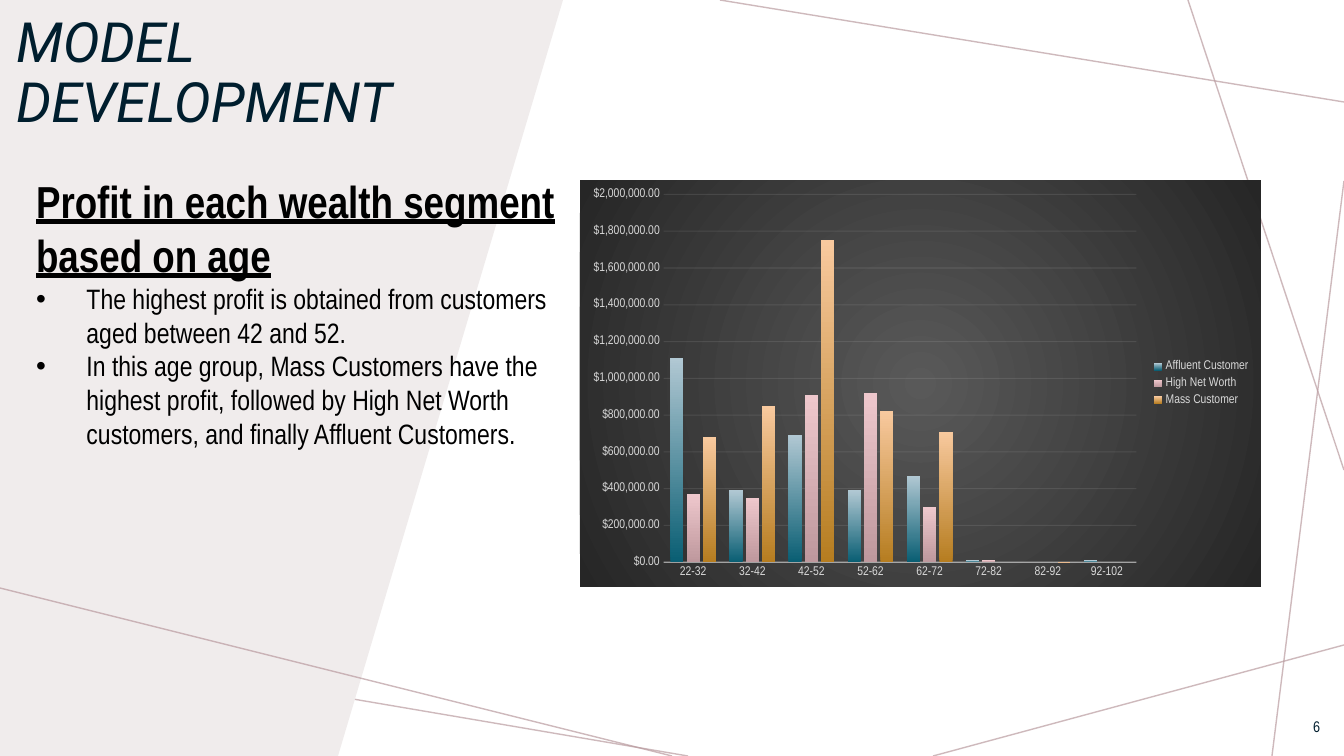
"""Builds a model development slide showing profit by wealth segment and age."""
import lxml.etree
import pptx
import pptx.chart.data
import pptx.dml.color
import pptx.enum.chart
import pptx.enum.shapes
import pptx.enum.text
import pptx.oxml
import pptx.oxml.ns
import pptx.util

RGB = pptx.dml.color.RGBColor
ROSE = RGB(0xBA, 0x9C, 0xA0)
PANEL = RGB(0xF0, 0xEC, 0xEC)
NAVY = RGB(0x00, 0x1E, 0x2E)
BLACK = RGB(0x00, 0x00, 0x00)
LABEL_GREY = RGB(0xD9, 0xD9, 0xD9)
RULE_GREY = RGB(0xF2, 0xF2, 0xF2)
CHART_CENTRE = RGB(0x59, 0x59, 0x59)
CHART_EDGE = RGB(0x26, 0x26, 0x26)

NARROW = "Arial Narrow"
WIDTH, HEIGHT = 1344, 756
SCALE = 12192000 / WIDTH

LINES_BEHIND = [
    (344, 0, 0, 76), (100, 0, 0, 722), (688, 756, 0, 639), (1344, 645, 933, 756),
    (1344, 181, 1272, 756), (1344, 470, 1188, 0), (1344, 102, 720, 0),
]
LINE_IN_FRONT = (672, 756, 0, 588)
PANEL_CORNERS = [(338, 756), (0, 756), (0, 0), (563, 0)]

HEADING = "Profit in each wealth segment based on age"
FINDINGS = [
    "The highest profit is obtained from customers aged between 42 and 52.",
    "In this age group, Mass Customers have the highest profit, followed by "
    "High Net Worth customers, and finally Affluent Customers.",
]

AGE_GROUPS = ["22-32", "32-42", "42-52", "52-62", "62-72", "72-82", "82-92", "92-102"]
SEGMENTS = [
    ("Affluent Customer", RGB(0x09, 0x5E, 0x73), RGB(0xB1, 0xC8, 0xD3),
     [1110000, 390000, 690000, 390000, 470000, 10000, None, 10000]),
    ("High Net Worth", RGB(0xBE, 0x98, 0x9D), RGB(0xEE, 0xC7, 0xCC),
     [370000, 350000, 910000, 920000, 300000, 10000, None, None]),
    ("Mass Customer", RGB(0xB6, 0x7D, 0x20), RGB(0xF8, 0xC9, 0x9E),
     [680000, 850000, 1750000, 820000, 710000, None, 0, None]),
]


def px(*lengths):
    return [pptx.util.Emu(round(length * SCALE)) for length in lengths]


def place(shape, *box):
    shape.left, shape.top, shape.width, shape.height = px(*box)


def style(font, size, color, name=NARROW):
    font.name = name
    font.size = pptx.util.Pt(size)
    font.color.rgb = color


def set_opacity(element, percent):
    for color in element.iter(pptx.oxml.ns.qn("a:srgbClr")):
        alpha = lxml.etree.SubElement(color, pptx.oxml.ns.qn("a:alpha"))
        alpha.set("val", str(percent * 1000))


def style_line(line, color, width):
    line.color.rgb = color
    line.width = pptx.util.Pt(width)


def add_line(slide, ends):
    line = slide.shapes.add_connector(pptx.enum.shapes.MSO_CONNECTOR.STRAIGHT, *px(*ends))
    style_line(line.line, ROSE, 1)
    set_opacity(line.element, 70)
    lxml.etree.SubElement(line.element.spPr, pptx.oxml.ns.qn("a:effectLst"))


def add_panel(slide):
    start, *others = PANEL_CORNERS
    builder = slide.shapes.build_freeform(*start, scale=SCALE)
    builder.add_line_segments(others, close=True)
    panel = builder.convert_to_shape()
    panel.shadow.inherit = False
    panel.fill.solid()
    panel.fill.fore_color.rgb = PANEL
    panel.line.fill.background()


def fill_title(title):
    place(title, 6, 10, 517, 129)
    frame = title.text_frame
    frame.text = "MODEL DEVELOPMENT"
    frame.word_wrap = True
    frame.auto_size = pptx.enum.text.MSO_AUTO_SIZE.NONE
    frame.vertical_anchor = pptx.enum.text.MSO_ANCHOR.MIDDLE
    paragraph = frame.paragraphs[0]
    paragraph.alignment = pptx.enum.text.PP_ALIGN.LEFT
    paragraph.line_spacing = 0.9
    style(paragraph.runs[0].font, 39.6, NAVY, "Roboto")
    paragraph.runs[0].font.italic = True


def set_bullet(paragraph, indent, bullet):
    properties = paragraph._p.get_or_add_pPr()
    properties.set("marL", str(indent))
    properties.set("indent", str(-indent))
    mark = lxml.etree.SubElement(properties, pptx.oxml.ns.qn("a:buChar" if bullet else "a:buNone"))
    if bullet:
        mark.set("char", bullet)


def fill_findings(body):
    place(body, 26, 169, 587, 288)
    frame = body.text_frame
    frame.text = "\n".join([HEADING, *FINDINGS])
    frame.word_wrap = True
    frame.auto_size = pptx.enum.text.MSO_AUTO_SIZE.NONE
    for index, paragraph in enumerate(frame.paragraphs):
        is_heading = index == 0
        paragraph.space_before = pptx.util.Pt(0)
        set_bullet(paragraph, 0 if is_heading else pptx.util.Inches(0.5), "" if is_heading else "•")
        font = paragraph.runs[0].font
        style(font, 32 if is_heading else 20, BLACK)
        font.bold = font.underline = is_heading


def add_page_number(slide):
    page_number = slide.shapes.add_textbox(*px(1279, 706, 51, 40))
    frame = page_number.text_frame
    frame.text = "6"
    frame.word_wrap = True
    frame.vertical_anchor = pptx.enum.text.MSO_ANCHOR.MIDDLE
    frame.paragraphs[0].alignment = pptx.enum.text.PP_ALIGN.RIGHT
    style(frame.paragraphs[0].runs[0].font, 11, NAVY)


def fill_chart_background(chart):
    background = pptx.oxml.parse_xml(
        f'<c:spPr {pptx.oxml.ns.nsdecls("c", "a")}><a:gradFill><a:gsLst>'
        f'<a:gs pos="0"><a:srgbClr val="{CHART_CENTRE}"/></a:gs>'
        f'<a:gs pos="100000"><a:srgbClr val="{CHART_EDGE}"/></a:gs></a:gsLst>'
        '<a:path path="circle"><a:fillToRect l="50000" t="50000" r="50000" b="50000"/></a:path>'
        '</a:gradFill><a:ln><a:noFill/></a:ln></c:spPr>')
    chart._chartSpace.find(pptx.oxml.ns.qn("c:chart")).addnext(background)


def style_axes(chart):
    ages, profit = chart.category_axis, chart.value_axis
    style_line(ages.format.line, RULE_GREY, 1)
    set_opacity(ages._element, 54)
    profit.has_major_gridlines = True
    style_line(profit.major_gridlines.format.line, RULE_GREY, 0.75)
    set_opacity(profit._element, 10)
    profit.format.line.fill.background()
    profit.minimum_scale, profit.maximum_scale, profit.major_unit = 0, 2000000, 200000
    profit.tick_labels.number_format = "[$$-1009]#,##0.00"
    profit.tick_labels.number_format_is_linked = False
    for axis in (ages, profit):
        axis.major_tick_mark = axis.minor_tick_mark = pptx.enum.chart.XL_TICK_MARK.NONE
        style(axis.tick_labels.font, 9, LABEL_GREY)


def add_profit_chart(slide):
    profits = pptx.chart.data.CategoryChartData()
    profits.categories = AGE_GROUPS
    for name, _, _, values in SEGMENTS:
        profits.add_series(name, values)
    chart = slide.shapes.add_chart(
        pptx.enum.chart.XL_CHART_TYPE.COLUMN_CLUSTERED, *px(580, 180, 681, 407), profits).chart
    style(chart.font, 10, BLACK)
    chart.has_title = False
    chart.has_legend = True
    chart.legend.position = pptx.enum.chart.XL_LEGEND_POSITION.RIGHT
    chart.legend.include_in_layout = False
    style(chart.legend.font, 9, LABEL_GREY)
    fill_chart_background(chart)
    style_axes(chart)
    columns = chart.plots[0]
    columns.gap_width, columns.overlap, columns.vary_by_categories = 100, -24, False
    for series, (_, bottom, top, _) in zip(columns.series, SEGMENTS):
        fill = series.format.fill
        fill.gradient()
        fill.gradient_angle = 90
        for stop, color in zip(fill.gradient_stops, (bottom, top)):
            stop.color.rgb = color


def main():
    deck = pptx.Presentation()
    deck.slide_width, deck.slide_height = px(WIDTH, HEIGHT)
    slide = deck.slides.add_slide(deck.slide_layouts[1])
    title, body = slide.placeholders
    for ends in LINES_BEHIND:
        add_line(slide, ends)
    add_panel(slide)
    add_line(slide, LINE_IN_FRONT)
    for placeholder in (title, body):
        slide.shapes.element.append(placeholder.element)
    fill_title(title)
    add_page_number(slide)
    fill_findings(body)
    add_profit_chart(slide)
    deck.save("out.pptx")


if __name__ == "__main__":
    main()
